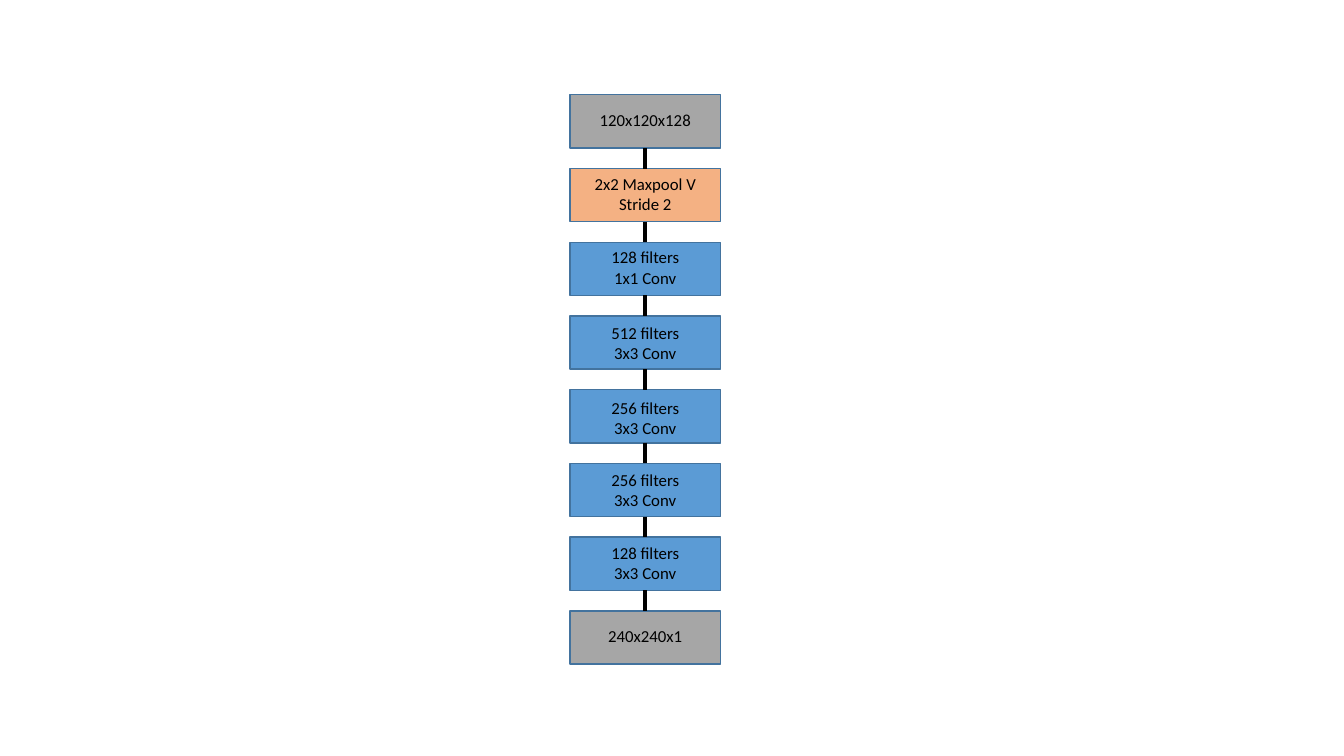
from dataclasses import dataclass
from itertools import pairwise

from lxml.etree import SubElement
from pptx import Presentation
from pptx.dml.color import RGBColor
from pptx.enum.shapes import MSO_CONNECTOR, MSO_SHAPE
from pptx.enum.text import MSO_AUTO_SIZE, PP_ALIGN
from pptx.oxml.ns import qn
from pptx.slide import Slide
from pptx.util import Pt

COLORS = {
    "tensor": "A6A6A6",
    "pool": "F4B183",
    "conv": "5B9BD5",
    "border": "43739E",
    "ink": "000000",
}
CENTER = 460.9
TOP = 67.7
PITCH = 52.66
BOX_W, BOX_H = 107.3, 38.0
LABEL_W = 92.2
LABEL_HEIGHTS = {1: 21.8, 2: 36.3}
FONT_FORMAT = {"name": "Calibri", "size": Pt(12)}
FRAME_FORMAT = {"word_wrap": True, "auto_size": MSO_AUTO_SIZE.SHAPE_TO_FIT_TEXT}


@dataclass(frozen=True)
class Layer:
    kind: str
    lines: tuple[str, ...]
    label_shift: float = 0


LAYERS = (
    Layer("tensor", ("120x120x128",), 7.2),
    Layer("pool", ("2x2 Maxpool V", "Stride 2")),
    Layer("conv", ("128 filters", "1x1 Conv")),
    Layer("conv", ("512 filters", "3x3 Conv"), 1.2),
    Layer("conv", ("256 filters", "3x3 Conv"), 2.2),
    Layer("conv", ("256 filters", "3x3 Conv"), 0.8),
    Layer("conv", ("128 filters", "3x3 Conv"), 0.5),
    Layer("tensor", ("240x240x1",), 7.2),
)


def rgb(name: str) -> RGBColor:
    return RGBColor.from_string(COLORS[name])


def apply_format(target: object, values: dict[str, object]) -> None:
    for name, value in values.items():
        setattr(target, name, value)


def draw_box(s: Slide, layer: Layer, top: float) -> None:
    sp = s.shapes.add_shape(
        MSO_SHAPE.RECTANGLE, Pt(CENTER - BOX_W / 2), Pt(top), Pt(BOX_W), Pt(BOX_H)
    )
    sp.shadow.inherit = False
    sp.fill.solid()
    sp.fill.fore_color.rgb = rgb(layer.kind)
    sp.line.color.rgb = rgb("border")
    sp.line.width = Pt(1)


def draw_label(s: Slide, layer: Layer, top: float) -> None:
    sp = s.shapes.add_textbox(
        Pt(CENTER - LABEL_W / 2),
        Pt(top + layer.label_shift),
        Pt(LABEL_W),
        Pt(LABEL_HEIGHTS[len(layer.lines)]),
    )
    tf = sp.text_frame
    apply_format(tf, FRAME_FORMAT)
    tf.text = "\n".join(layer.lines)
    for p in tf.paragraphs:
        p.alignment = PP_ALIGN.CENTER
        for r in p.runs:
            apply_format(r.font, FONT_FORMAT)
            r.font.color.rgb = rgb("ink")


def draw_link(s: Slide, start: float, end: float) -> None:
    link = s.shapes.add_connector(
        MSO_CONNECTOR.STRAIGHT, Pt(CENTER), Pt(start), Pt(CENTER), Pt(end)
    )
    link.line.color.rgb = rgb("ink")
    link.line.width = Pt(2.5)
    SubElement(link._element.spPr, qn("a:effectLst"))


prs = Presentation()
prs.slide_width, prs.slide_height = Pt(960), Pt(540)
s = prs.slides.add_slide(prs.slide_layouts[6])

tops = [TOP + PITCH * i for i in range(len(LAYERS))]
for layer, top in zip(LAYERS, tops):
    draw_box(s, layer, top)
    draw_label(s, layer, top)
for upper, lower in pairwise(tops):
    draw_link(s, upper + BOX_H, lower)

prs.save("out.pptx")
